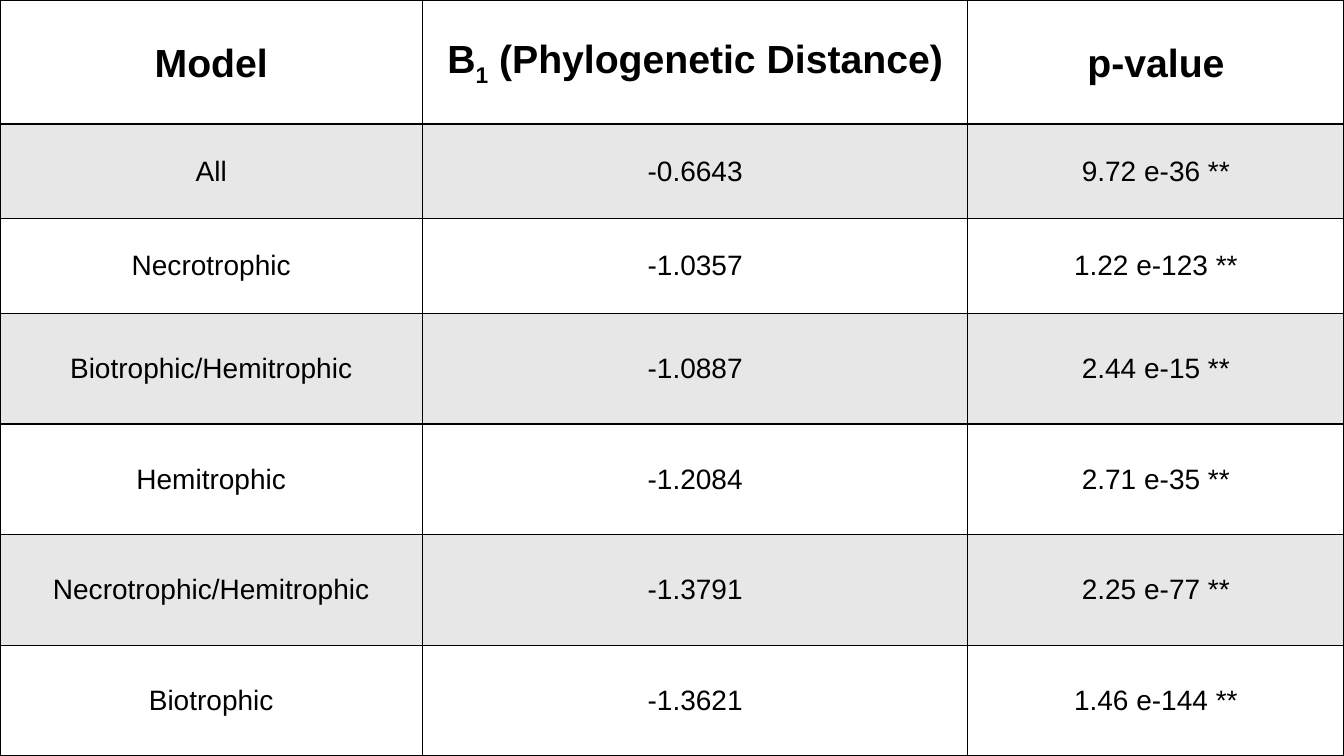
from lxml import etree
from pptx import Presentation, util as u
from pptx.dml import color
from pptx.enum import text
from pptx.oxml import ns

COLORS = {"ink": "000000", "band": "E7E7E7", "plain": "FFFFFF"}
FONT = "Arial"
SLIDE_BOX = (0, 0, 13.33, 7.5)
COLUMN_WIDTHS = (4.19, 5.41, 3.73)
TOP_ROW_HEIGHTS = (1.23, 0.94, 0.94)

# Each heading is a list of (wording, is_subscript) spans.
HEADINGS = [
    [("Model", False)],
    [("\u0392", False), ("1", True), (" (Phylogenetic Distance)", False)],
    [("p-value", False)],
]
RESULTS = [
    ("All", "-0.6643", "9.72 e-36 **"),
    ("Necrotrophic", "-1.0357", "1.22 e-123 **"),
    ("Biotrophic/Hemitrophic", "-1.0887", "2.44 e-15 **"),
    ("Hemitrophic", "-1.2084", "2.71 e-35 **"),
    ("Necrotrophic/Hemitrophic", "-1.3791", "2.25 e-77 **"),
    ("Biotrophic", "-1.3621", "1.46 e-144 **"),
]


def add_borders(cell):
    """Draw a one-point line on all four sides of a cell, before its fill is set."""
    properties = cell._tc.get_or_add_tcPr()
    for side in ("a:lnL", "a:lnR", "a:lnT", "a:lnB"):
        line = etree.SubElement(properties, ns.qn(side), w=str(u.Pt(1)))
        fill = etree.SubElement(line, ns.qn("a:solidFill"))
        etree.SubElement(fill, ns.qn("a:srgbClr"), val=COLORS["ink"])


def write_cell(cell, spans, size, bold, margins):
    """Write centred spans into a cell with the given top and bottom margins."""
    cell.vertical_anchor = text.MSO_ANCHOR.MIDDLE
    cell.margin_left = cell.margin_right = u.Inches(0.04)
    cell.margin_top, cell.margin_bottom = map(u.Inches, margins)
    para = cell.text_frame.paragraphs[0]
    para.alignment = text.PP_ALIGN.CENTER
    for wording, is_subscript in spans:
        span = para.add_run()
        span.text = wording
        span.font.name = FONT
        span.font.size = u.Pt(size)
        span.font.bold = bold
        span.font.color.rgb = color.RGBColor.from_string(COLORS["ink"])
        if is_subscript:
            span.font._element.set("baseline", "-25000")


def add_results_table(page, box):
    """Fill the box with the model table; the lower rows share the spare height."""
    rows = len(RESULTS) + 1
    frame = page.shapes.add_table(rows, len(HEADINGS), *map(u.Inches, box))
    table = frame.table
    for column, width in zip(table.columns, COLUMN_WIDTHS):
        column.width = u.Inches(width)
    lower_rows = rows - len(TOP_ROW_HEIGHTS)
    lower_height = (box[3] - sum(TOP_ROW_HEIGHTS)) / lower_rows
    heights = TOP_ROW_HEIGHTS + (lower_height,) * lower_rows
    for row, height in zip(table.rows, heights):
        row.height = u.Inches(height)

    for cell, spans in zip(table.rows[0].cells, HEADINGS):
        add_borders(cell)
        cell.fill.background()
        write_cell(cell, spans, 28, True, (0.05, 0.02))
    for number, result in enumerate(RESULTS, start=1):
        shade = COLORS["band" if number % 2 else "plain"]
        for cell, wording in zip(table.rows[number].cells, result):
            add_borders(cell)
            cell.fill.solid()
            cell.fill.fore_color.rgb = color.RGBColor.from_string(shade)
            write_cell(cell, [(wording, False)], 20, False, (0.01, 0.01))


def main():
    """Build the one-page deck and save it."""
    deck = Presentation()
    deck.slide_width, deck.slide_height = map(u.Inches, SLIDE_BOX[2:])
    page = deck.slides.add_slide(deck.slide_layouts[6])
    add_results_table(page, SLIDE_BOX)
    deck.save("out.pptx")


main()
